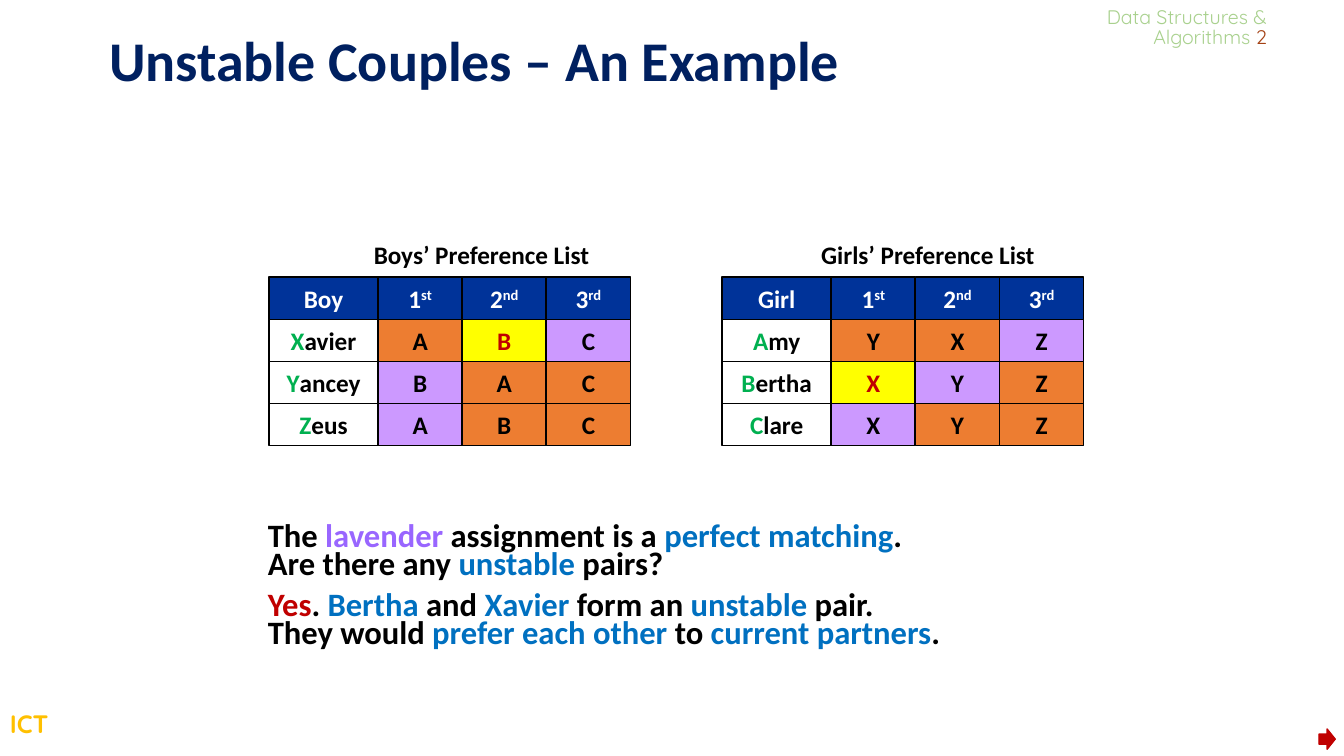
from dataclasses import dataclass
from typing import NamedTuple

from pptx import Presentation
from pptx.dml.color import RGBColor
from pptx.enum import shapes, text
from pptx.util import Cm, Pt

COLORS = {
    "navy": "002060", "header": "003399", "white": "FFFFFF", "black": "000000",
    "initial": "00B050", "lavender": "CC99FF", "orange": "ED7D31",
    "yellow": "FFFF00", "red": "C00000", "violet": "9966FF", "blue": "0070C0",
    "course": "A9D18E", "number": "A44114", "gold": "FFC000",
}
CELL_FILLS = {"L": "lavender", "O": "orange", "U": "yellow"}
RANKS = (("1", "st"), ("2", "nd"), ("3", "rd"))
NAME_WIDTH, RANK_WIDTH, ROW_HEIGHT = 2.75, 2.12, 1.06
GRID_TOP = 6.99


class Piece(NamedTuple):
    words: str
    color: str = "black"
    raised: bool = False


Line = list[Piece]


@dataclass
class Style:
    size: float
    font: str = "Calibri"
    bold: bool = True
    align: text.PP_ALIGN = text.PP_ALIGN.LEFT
    spacing: float | Pt | None = None
    gap: float = 0


@dataclass
class Label:
    left: float
    top: float
    width: float
    height: float
    lines: list[Line]
    style: Style
    wrap: bool = True
    middle: bool = False


@dataclass
class PreferenceList:
    left: float
    heading: str
    choices: dict[str, str]  # name -> the ranked partners
    marks: list[str]  # one fill letter per choice


CENTERED = Style(18, align=text.PP_ALIGN.CENTER)


def rgb(name: str) -> RGBColor:
    return RGBColor.from_string(COLORS[name])


def write_lines(frame, lines: list[Line], style: Style) -> None:
    for index, line in enumerate(lines):
        paragraph = frame.add_paragraph() if index else frame.paragraphs[0]
        paragraph.alignment = style.align
        if style.spacing:
            paragraph.line_spacing = style.spacing
        if index and style.gap:
            paragraph.space_before = Pt(style.gap)
        paragraph.font.size = Pt(style.size)
        paragraph.font.name = style.font
        paragraph.font.bold = style.bold
        for piece in line:
            if piece.words == "\n":
                paragraph.add_line_break()
                continue
            run = paragraph.add_run()
            run.text = piece.words
            run.font.color.rgb = rgb(piece.color)
            if piece.raised:
                run.font._element.set("baseline", "30000")


def draw_label(slide, label: Label) -> None:
    box = slide.shapes.add_textbox(
        Cm(label.left), Cm(label.top), Cm(label.width), Cm(label.height))
    frame = box.text_frame
    frame.word_wrap = label.wrap
    if label.middle:
        frame.vertical_anchor = text.MSO_ANCHOR.MIDDLE
    write_lines(frame, label.lines, label.style)


def draw_preferences(slide, preferences: PreferenceList) -> None:
    def draw_cell(row: int, column: int, line: Line, fill: str | None) -> None:
        offset = NAME_WIDTH + (column - 1) * RANK_WIDTH if column else 0
        cell = slide.shapes.add_shape(
            shapes.MSO_SHAPE.RECTANGLE,
            Cm(preferences.left + offset), Cm(GRID_TOP + row * ROW_HEIGHT),
            Cm(RANK_WIDTH if column else NAME_WIDTH), Cm(ROW_HEIGHT))
        cell.shadow.inherit = False
        if fill:
            cell.fill.solid()
            cell.fill.fore_color.rgb = rgb(fill)
        else:
            cell.fill.background()
        cell.line.color.rgb = rgb("black")
        cell.line.width = Pt(1.25)
        cell.text_frame.word_wrap = False
        cell.text_frame.vertical_anchor = text.MSO_ANCHOR.MIDDLE
        write_lines(cell.text_frame, [line], CENTERED)

    # Header row
    draw_cell(0, 0, [Piece(preferences.heading, "white")], "header")
    for column, (digit, suffix) in enumerate(RANKS, 1):
        rank = [Piece(digit, "white"), Piece(suffix, "white", True)]
        draw_cell(0, column, rank, "header")

    # One row per person
    people = zip(preferences.choices.items(), preferences.marks)
    for row, ((name, partners), marks) in enumerate(people, 1):
        draw_cell(row, 0, [Piece(name[0], "initial"), Piece(name[1:])], None)
        for column, (partner, mark) in enumerate(zip(partners, marks), 1):
            color = "red" if mark == "U" else "black"
            draw_cell(row, column, [Piece(partner, color)], CELL_FILLS[mark])


def draw_next_arrow(slide) -> None:
    arrow = slide.shapes.add_shape(
        shapes.MSO_SHAPE.RIGHT_ARROW, Cm(33.24), Cm(18.37), Cm(0.41), Cm(0.51))
    arrow.shadow.inherit = False
    arrow.fill.solid()
    arrow.fill.fore_color.rgb = rgb("red")
    arrow.line.color.rgb = rgb("red")
    arrow.line.width = Pt(1)


COURSE = Style(14, "Quicksand", False, text.PP_ALIGN.RIGHT, Pt(14))
LABELS = [
    Label(2.5, 0, 24.77, 3.18, [[Piece("Unstable Couples – An Example", "navy")]],
          Style(40, spacing=0.9), middle=True),
    Label(26.59, 0.1, 5.59, 1.24,
          [[Piece("Data Structures &", "course")],
           [Piece("Algorithms ", "course"), Piece("2", "number")]], COURSE),
    Label(0, 17.72, 3.12, 1.02, [[Piece("ICT", "gold")]], Style(18, "Quicksand")),
    Label(7.37, 5.92, 9.53, 0.97, [[Piece("Boys’ Preference List")]], CENTERED,
          wrap=False, middle=True),
    Label(18.62, 5.93, 9.53, 0.97, [[Piece("Girls’ Preference List")]], CENTERED,
          wrap=False, middle=True),
    Label(6.5, 13.13, 21.79, 3.4, [
        [Piece("The "), Piece("lavender", "violet"), Piece(" assignment is a "),
         Piece("perfect matching", "blue"), Piece("."), Piece("\n"),
         Piece("Are there any "), Piece("unstable", "blue"), Piece(" pairs?")],
        [Piece("Yes", "red"), Piece(". "), Piece("Bertha", "blue"), Piece(" and "),
         Piece("Xavier", "blue"), Piece(" form an "), Piece("unstable", "blue"),
         Piece(" pair."), Piece("\n"), Piece("They would "),
         Piece("prefer each other", "blue"), Piece(" to "),
         Piece("current partners", "blue"), Piece(".")],
    ], Style(23.3, spacing=0.7, gap=10)),
]
PREFERENCES = [
    PreferenceList(6.78, "Boy", {"Xavier": "ABC", "Yancey": "BAC", "Zeus": "ABC"},
                   ["OUL", "LOO", "LOO"]),
    PreferenceList(18.2, "Girl", {"Amy": "YXZ", "Bertha": "XYZ", "Clare": "XYZ"},
                   ["OOL", "ULO", "LOO"]),
]


def main() -> None:
    deck = Presentation()
    deck.slide_width, deck.slide_height = Cm(33.87), Cm(19.05)
    slide = deck.slides.add_slide(deck.slide_layouts[6])
    for label in LABELS:
        draw_label(slide, label)
    for preferences in PREFERENCES:
        draw_preferences(slide, preferences)
    draw_next_arrow(slide)
    deck.save("out.pptx")


if __name__ == "__main__":
    main()
